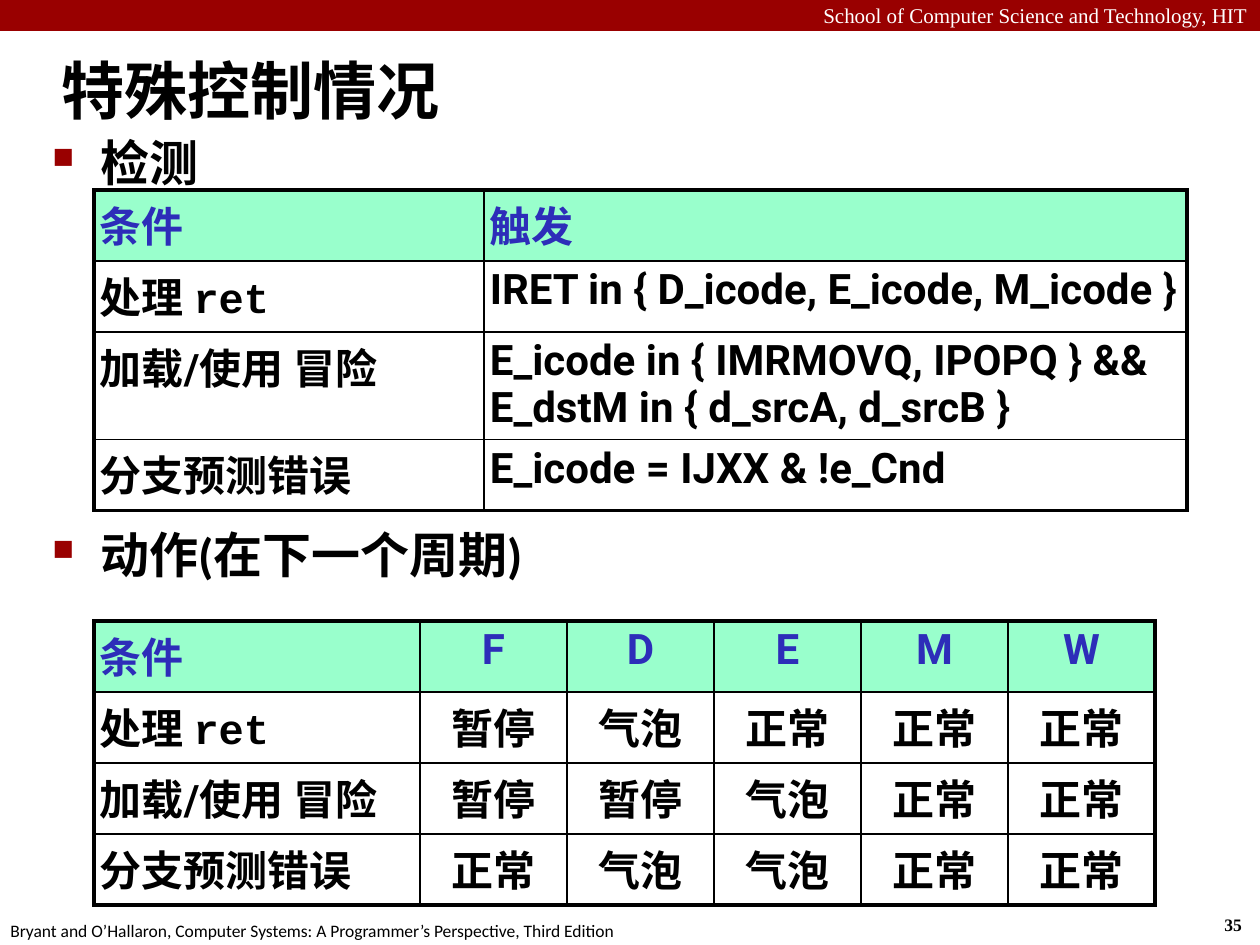
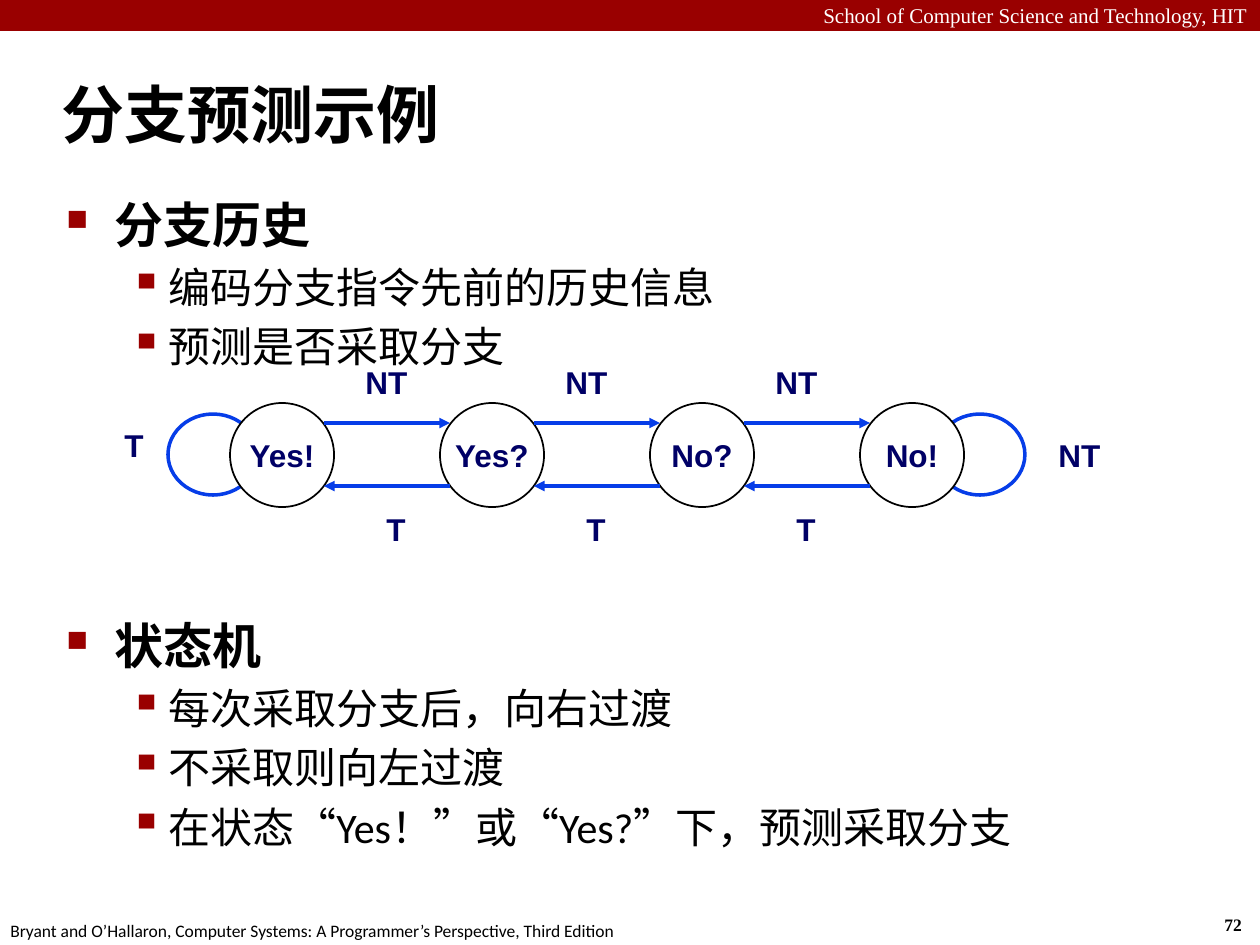
from typing import NamedTuple

from lxml import etree
from pptx import Presentation
from pptx.dml.color import RGBColor
from pptx.enum.shapes import MSO_CONNECTOR, MSO_SHAPE
from pptx.enum.text import MSO_ANCHOR, MSO_AUTO_SIZE, PP_ALIGN
from pptx.oxml import parse_xml
from pptx.oxml.ns import nsdecls, qn
from pptx.util import Pt

EMU_PER_PX = 914400 / 126
RECTANGLE, ELLIPSE = MSO_SHAPE.RECTANGLE, MSO_SHAPE.OVAL
STRAIGHT = MSO_CONNECTOR.STRAIGHT
LEFT, CENTER, RIGHT = PP_ALIGN.LEFT, PP_ALIGN.CENTER, PP_ALIGN.RIGHT
TOP, MIDDLE = MSO_ANCHOR.TOP, MSO_ANCHOR.MIDDLE
NO_AUTOSIZE = MSO_AUTO_SIZE.NONE

WHITE = RGBColor(0xFF, 0xFF, 0xFF)
BLACK = RGBColor(0x00, 0x00, 0x00)
CRIMSON = RGBColor(0x99, 0x00, 0x00)
MINT = RGBColor(0x99, 0xFF, 0xCC)
HEADING_BLUE = RGBColor(0x2D, 0x2D, 0xB9)
STATE_NAVY = RGBColor(0x00, 0x00, 0x66)
ARROW_BLUE = RGBColor(0x06, 0x3D, 0xE8)

SCHOOL = "School of Computer Science and Technology, HIT"
BOOK = "Bryant and O’Hallaron, Computer Systems: A Programmer’s Perspective, Third Edition"


class Box(NamedTuple):
    left: int
    top: int
    width: int
    height: int


class Span(NamedTuple):
    text: str
    font: str


class BulletLevel(NamedTuple):
    mark: str
    mark_percent: int
    margin: int
    hanging: int
    size: int
    bold: bool


class Bullet(NamedTuple):
    level: BulletLevel
    text: str


class Label(NamedTuple):
    text: str
    left: int
    top: int


TOPIC = BulletLevel("■", 60, 48, 48, 28, True)
DETAIL = BulletLevel("▪", 110, 102, 39, 24, False)

RET_CASE = (Span("处理 ", "Roboto"), Span("ret", "Courier New"))
LOAD_USE_CASE = "加载/使用 冒险"
MISPREDICT_CASE = "分支预测错误"

DETECTION = [
    ["条件", "触发"],
    [RET_CASE, "IRET in { D_icode, E_icode, M_icode }"],
    [LOAD_USE_CASE, "E_icode in { IMRMOVQ, IPOPQ } && E_dstM in { d_srcA, d_srcB }"],
    [MISPREDICT_CASE, "E_icode = IJXX & !e_Cnd"],
]
ACTIONS = [
    ["条件", "F", "D", "E", "M", "W"],
    [RET_CASE, "暂停", "气泡", "正常", "正常", "正常"],
    [LOAD_USE_CASE, "暂停", "暂停", "气泡", "正常", "正常"],
    [MISPREDICT_CASE, "正常", "气泡", "气泡", "正常", "正常"],
]
HISTORY = [
    Bullet(TOPIC, "分支历史"),
    Bullet(DETAIL, "编码分支指令先前的历史信息"),
    Bullet(DETAIL, "预测是否采取分支"),
]
STATE_MACHINE = [
    Bullet(TOPIC, "状态机"),
    Bullet(DETAIL, "每次采取分支后，向右过渡"),
    Bullet(DETAIL, "不采取则向左过渡"),
    Bullet(DETAIL, "在状态“Yes！”或“Yes?”下，预测采取分支"),
]
STATES = ["Yes!", "Yes?", "No?", "No!"]
STATE_PITCH = 210
LABEL_LEFTS = [353, 553, 763]
LABEL_WIDTHS = {"T": 44, "NT": 68}


def emu(px: int) -> int:
    return round(px * EMU_PER_PX)


def place(box: Box) -> list[int]:
    return [emu(length) for length in box]


def write(paragraph, text: str, *, font: str = "Calibri", size: int = 24,
          color: RGBColor = BLACK, bold: bool = False, align=LEFT) -> None:
    paragraph.alignment = align
    run = paragraph.add_run()
    run.text = text
    run.font.name = font
    run.font.size = Pt(size)
    run.font.bold = bold
    run.font.color.rgb = color


def add_text(slide, box: Box, text: str, wrap: bool = True, **style) -> None:
    frame = slide.shapes.add_textbox(*place(box)).text_frame
    frame.word_wrap = wrap
    write(frame.paragraphs[0], text, **style)


def add_plain_shape(slide, kind, box: Box, fill: RGBColor | None = None,
                    line: RGBColor | None = None, line_width: int = 1):
    shape = slide.shapes.add_shape(kind, *place(box))
    shape.shadow.inherit = False
    if fill is None:
        shape.fill.background()
    else:
        shape.fill.solid()
        shape.fill.fore_color.rgb = fill
    if line is None:
        shape.line.fill.background()
    else:
        shape.line.color.rgb = line
        shape.line.width = Pt(line_width)
    return shape


def add_titled_slide(deck, title: str, title_top: int, number: int):
    slide = deck.slides.add_slide(deck.slide_layouts[5])
    add_plain_shape(slide, RECTANGLE, Box(0, 0, 1260, 31), CRIMSON)
    add_text(slide, Box(0, -4, 1260, 38), SCHOOL, font="Times New Roman", size=12,
             color=WHITE, align=RIGHT)
    add_text(slide, Box(1212, 908, 47, 34), str(number), wrap=False,
             font="Times New Roman", size=10, bold=True)
    add_text(slide, Box(-2, 914, 640, 34), BOOK, size=10)
    heading = slide.shapes.title
    heading.left, heading.top, heading.width, heading.height = place(
        Box(49, title_top, 1211, 105))
    frame = heading.text_frame
    frame.word_wrap = True
    frame.auto_size = NO_AUTOSIZE
    frame.vertical_anchor = MIDDLE
    write(frame.paragraphs[0], title, size=36, bold=True)
    return slide


def add_bullets(slide, box: Box, bullets: list[Bullet]) -> None:
    frame = slide.shapes.add_textbox(*place(box)).text_frame
    frame.word_wrap = True
    for index, (level, text) in enumerate(bullets):
        paragraph = frame.add_paragraph() if index else frame.paragraphs[0]
        if index:
            paragraph.space_before = Pt(5)
        properties = paragraph._p.get_or_add_pPr()
        properties.set("marL", str(emu(level.margin)))
        properties.set("indent", str(-emu(level.hanging)))
        for xml in (
            f'<a:buClr {nsdecls("a")}><a:srgbClr val="{CRIMSON}"/></a:buClr>',
            f'<a:buSzPct {nsdecls("a")} val="{level.mark_percent * 1000}"/>',
            f'<a:buChar {nsdecls("a")} char="{level.mark}"/>',
        ):
            properties.append(parse_xml(xml))
        write(paragraph, text, size=level.size, bold=level.bold)


def set_borders(cell, outer_sides: dict[str, bool]) -> None:
    properties = cell._tc.get_or_add_tcPr()
    for side, outer in outer_sides.items():
        width = Pt(2.25 if outer else 1)
        properties.append(parse_xml(
            f'<a:ln{side} {nsdecls("a")} w="{width}"><a:solidFill>'
            f'<a:srgbClr val="{BLACK}"/></a:solidFill></a:ln{side}>'))


def add_grid(slide, left: int, top: int, widths: list[int], heights: list[int],
             rows: list[list], value_align) -> None:
    box = Box(left, top, sum(widths), sum(heights))
    grid = slide.shapes.add_table(len(rows), len(widths), *place(box)).table
    grid.first_row = grid.horz_banding = False
    for column, width in zip(grid.columns, widths):
        column.width = emu(width)
    for r, (row, height) in enumerate(zip(rows, heights)):
        grid.rows[r].height = emu(height)
        for c, content in enumerate(row):
            cell = grid.cell(r, c)
            cell.margin_left = cell.margin_right = emu(6)
            cell.margin_top = cell.margin_bottom = emu(6)
            cell.vertical_anchor = TOP
            set_borders(cell, {"L": c == 0, "R": c == len(widths) - 1,
                               "T": r == 0, "B": r == len(rows) - 1})
            if r == 0:
                cell.fill.solid()
                cell.fill.fore_color.rgb = MINT
            else:
                cell.fill.background()
            paragraph = cell.text_frame.paragraphs[0]
            paragraph.line_spacing = 0.95
            spans = (Span(content, "Roboto"),) if isinstance(content, str) else content
            for span in spans:
                write(paragraph, span.text, font=span.font, bold=True,
                      color=BLACK if r else HEADING_BLUE,
                      align=value_align if c else LEFT)


def add_arrow(slide, start: int, end: int, y: int) -> None:
    arrow = slide.shapes.add_connector(STRAIGHT, emu(start), emu(y), emu(end), emu(y))
    arrow.line.color.rgb = ARROW_BLUE
    arrow.line.width = Pt(2)
    outline = arrow.line._get_or_add_ln()
    etree.SubElement(outline, qn("a:tailEnd"), type="triangle")
    etree.SubElement(arrow._element.spPr, qn("a:effectLst"))


def add_state_diagram(slide) -> None:
    for loop_left in (168, 935):
        add_plain_shape(slide, ELLIPSE, Box(loop_left, 414, 90, 81),
                        line=ARROW_BLUE, line_width=2)
    for index, state in enumerate(STATES):
        circle = add_plain_shape(slide, ELLIPSE,
                                 Box(230 + index * STATE_PITCH, 403, 104, 104),
                                 WHITE, BLACK)
        frame = circle.text_frame
        frame.word_wrap = False
        frame.vertical_anchor = MIDDLE
        write(frame.paragraphs[0], state, font="Arial", size=18, color=STATE_NAVY,
              bold=True, align=CENTER)
    for index in range(len(STATES) - 1):
        near = 324 + index * STATE_PITCH
        far = near + 126
        add_arrow(slide, near, far, 423)
        add_arrow(slide, far, near, 486)
    labels = [Label("T", 112, 420), Label("NT", 1046, 430)]
    for left in LABEL_LEFTS:
        labels += [Label("NT", left, 357), Label("T", left + 21, 504)]
    for text, left, top in labels:
        add_text(slide, Box(left, top, LABEL_WIDTHS[text], 50), text, wrap=False,
                 font="Arial", size=18, color=STATE_NAVY, bold=True)


def build_control_cases(deck) -> None:
    slide = add_titled_slide(deck, "特殊控制情况", 37, 35)
    add_bullets(slide, Box(40, 126, 1144, 72), [Bullet(TOPIC, "检测")])
    add_bullets(slide, Box(40, 518, 1144, 72), [Bullet(TOPIC, "动作(在下一个周期)")])
    add_grid(slide, 94, 190, [390, 703], [71, 71, 106, 71], DETECTION, LEFT)
    add_grid(slide, 94, 621, [326] + [147] * 5, [71] * 4, ACTIONS, CENTER)


def build_branch_prediction(deck) -> None:
    slide = add_titled_slide(deck, "分支预测示例", 61, 72)
    add_bullets(slide, Box(54, 188, 1184, 190), HISTORY)
    add_bullets(slide, Box(54, 609, 1184, 250), STATE_MACHINE)
    add_state_diagram(slide)


def main() -> None:
    deck = Presentation()
    deck.slide_width, deck.slide_height = emu(1260), emu(945)
    build_control_cases(deck)
    build_branch_prediction(deck)
    deck.save("out.pptx")


if __name__ == "__main__":
    main()
